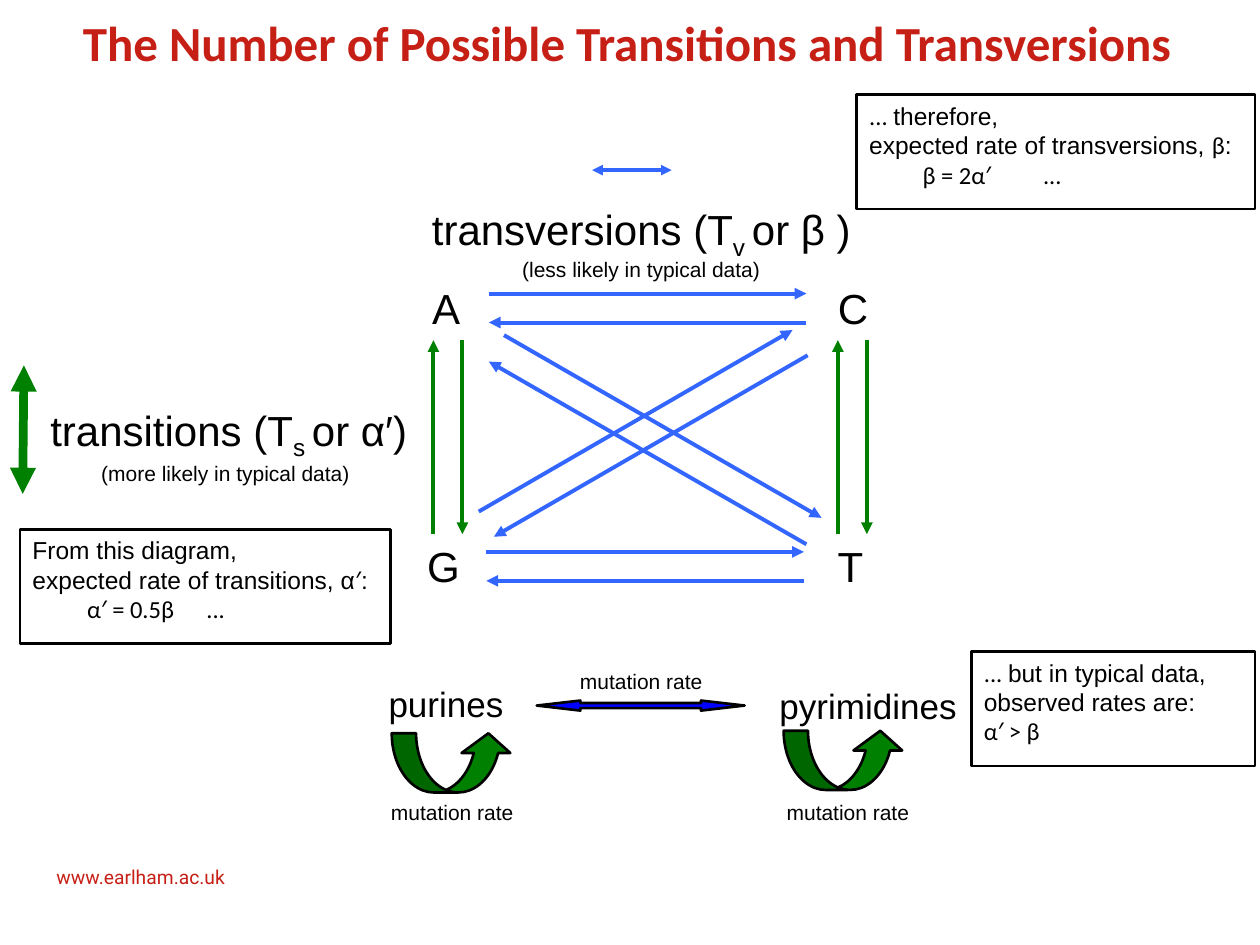
from pptx import Presentation
from pptx.dml.color import RGBColor
from pptx.enum.shapes import MSO_CONNECTOR, MSO_SHAPE
from pptx.enum.text import MSO_ANCHOR, PP_ALIGN
from pptx.oxml.ns import qn
from pptx.util import Inches, Pt
from lxml import etree

LINE = MSO_CONNECTOR.STRAIGHT
RECT = MSO_SHAPE.RECTANGLE
CURVE = MSO_SHAPE.CURVED_UP_ARROW
DOUBLE = MSO_SHAPE.LEFT_RIGHT_ARROW
LEFT, MID = PP_ALIGN.LEFT, PP_ALIGN.CENTER
TOP = MSO_ANCHOR.TOP
BLACK, RED, BLUE, GREEN, NAVY = "000000", "C61F16", "3366FF", "008000", "0000FF"
SANS, BODY, WEB = "Arial", "Calibri", "Roboto"


def paint(color, code):
    color.rgb = RGBColor.from_string(code)


def add_para(para, runs, size, color=BLACK, align=LEFT, hang=0.38):
    """Fill a paragraph with runs of (text, font) or (text, font, baseline)."""
    props = para._p.get_or_add_pPr()
    props.set("marL", str(Inches(hang)))
    props.set("indent", str(Inches(-hang)))
    para.alignment = align
    para.font.size = Pt(size)
    paint(para.font.color, color)
    fonts = {run[1] for run in runs}
    if len(fonts) == 1:
        para.font.name = fonts.pop()
    for text, font, *base in runs:
        run = para.add_run()
        run.text = text
        if para.font.name is None:
            run.font.name = font
        if base:
            run._r.get_or_add_rPr().set("baseline", str(base[0]))


def add_text(slide, x, y, w, h, runs, size, color=BLACK, align=MID, hang=0.38, wrap=False):
    box = slide.shapes.add_textbox(Inches(x), Inches(y), Inches(w), Inches(h))
    frame = box.text_frame
    frame.word_wrap = wrap
    add_para(frame.paragraphs[0], runs, size, color, align, hang)
    return frame


def add_shape(slide, kind, x, y, w, h, fill=None, adjust=()):
    shape = slide.shapes.add_shape(kind, Inches(x), Inches(y), Inches(w), Inches(h))
    shape.shadow.inherit = False
    if fill:
        shape.fill.solid()
        paint(shape.fill.fore_color, fill)
    else:
        shape.fill.background()
    paint(shape.line.color, BLACK)
    shape.line.width = Pt(1.5)
    for i, value in enumerate(adjust):
        shape.adjustments[i] = value
    return shape


def add_line(slide, x1, y1, x2, y2, color, width, ends):
    """Draw a line with triangles at the ends named: headEnd, tailEnd."""
    line = slide.shapes.add_connector(LINE, Inches(x1), Inches(y1), Inches(x2), Inches(y2))
    paint(line.line.color, color)
    line.line.width = Pt(width)
    for end in ends:
        etree.SubElement(line.line._get_or_add_ln(), qn("a:" + end), type="triangle")
    etree.SubElement(line._element.spPr, qn("a:effectLst"))


def add_pair(slide, x, y, w, h, dx, dy, color):
    """Two parallel arrows, the second shifted by dx, dy and pointing back."""
    for ax, ay, end in ((x, y, "tailEnd"), (x + dx, y + dy, "headEnd")):
        add_line(slide, ax, ay, ax + w, ay + h, color, 2.25, [end])


def add_note(slide, x, y, w, h, rows):
    frame = add_shape(slide, RECT, x, y, w, h).text_frame
    frame.word_wrap = True
    frame.vertical_anchor = TOP
    for i, runs in enumerate(rows):
        para = frame.add_paragraph() if i else frame.paragraphs[0]
        add_para(para, runs, 14)


def add_frame(slide):
    # Title and web address
    frame = add_text(slide, 0.56, 0.02, 9.13, 1.25,
                     [("The Number of Possible Transitions and Transversions", BODY)],
                     28, RED, LEFT, 0, True)
    frame.margin_top = Inches(0.08)
    frame.paragraphs[0].font.bold = True
    add_text(slide, 0.35, 6.82, 1.97, 0.29, [("www.earlham.ac.uk", WEB)], 11, RED, LEFT, 0, True)


def add_bases(slide, x, y):
    # The four bases
    for base, dx, dy, w in (("A", 0, 0, 0.44), ("C", 3.23, 0, 0.44),
                            ("G", -0.03, 2.05, 0.46), ("T", 3.23, 2.05, 0.4)):
        add_text(slide, x + dx, y + dy, w, 0.5, [(base, SANS)], 24)
    # Transitions: vertical pairs
    for dx in (0.35, 3.56):
        add_pair(slide, x + dx, y + 0.51, 0, 1.54, -0.23, 0, GREEN)
    # Transversions: level and diagonal pairs
    for dx, dy in ((0.56, 0.14), (0.54, 2.19)):
        add_pair(slide, x + dx, y + dy, 2.52, 0, 0, 0.23, BLUE)
    add_pair(slide, x + 0.48, y + 1.87, 2.49, -1.44, 0.12, 0.2, BLUE)
    add_pair(slide, x + 0.68, y + 0.47, 2.52, 1.45, -0.12, 0.21, BLUE)


def add_keys(slide):
    both = ["headEnd", "tailEnd"]
    # Transitions
    add_line(slide, 0.19, 2.9, 0.18, 3.92, GREEN, 5, both)
    add_text(slide, 0.17, 3.16, 3.29, 0.5,
             [("transitions (T", SANS), ("s ", SANS, -25000), ("or α′)", SANS)], 24)
    add_text(slide, 0.62, 3.61, 2.34, 0.3, [("(more likely in typical data)", SANS)], 12)
    # Transversions
    add_line(slide, 4.7, 1.35, 5.33, 1.35, BLUE, 2, both)
    add_text(slide, 3.19, 1.57, 3.8, 0.5,
             [("transversions (T", SANS), ("v ", SANS, -25000), ("or β )", SANS)], 24)
    add_text(slide, 3.96, 1.99, 2.26, 0.3, [("(less likely in typical data)", SANS)], 12)


def add_rates(slide, x, y):
    # Base classes, each mutating within itself
    add_text(slide, x, y + 0.11, 1.2, 0.43, [("purines", SANS)], 20)
    add_text(slide, x + 3.07, y + 0.12, 1.76, 0.43, [("pyrimidines", SANS)], 20)
    for dx, dy in ((0.17, 0.56), (3.28, 0.54)):
        add_shape(slide, CURVE, x + dx, y + dy, 0.96, 0.47, GREEN, (0.411, 0.822, 0.333))
    # Mutation between the classes
    add_shape(slide, DOUBLE, x + 1.32, y + 0.3, 1.65, 0.08, NAVY, (0.5, 4.332))
    for dx, dy in ((1.52, 0), (0.02, 1.04), (3.16, 1.04)):
        add_text(slide, x + dx, y + dy, 1.26, 0.3, [("mutation rate", SANS)], 12)


def add_notes(slide):
    add_note(slide, 0.16, 4.2, 2.94, 0.91, [
        [("From this diagram,", SANS)],
        [("expected rate of transitions, α", SANS), ("′", BODY), (":", SANS)],
        [("\t ", SANS), ("α′ = 0.5β \t...", BODY)]])
    add_note(slide, 6.8, 0.75, 3.16, 0.91, [
        [("... ", BODY), ("therefore,", SANS)],
        [("expected rate of transversions, ", SANS), ("β", BODY), (":", SANS)],
        [("\t β = 2α′\t...", BODY)]])
    add_note(slide, 7.71, 5.17, 2.25, 0.91, [
        [("... ", BODY), ("but in typical data,", SANS)],
        [("observed rates are:", SANS)],
        [("α′ > β", BODY)]])


def main():
    deck = Presentation()
    deck.slide_width, deck.slide_height = Inches(10), Inches(7.5)
    slide = deck.slides.add_slide(deck.slide_layouts[6])
    add_frame(slide)
    add_bases(slide, 3.32, 2.19)
    add_keys(slide)
    add_notes(slide)
    add_rates(slide, 2.94, 5.26)
    deck.save("out.pptx")


if __name__ == "__main__":
    main()
